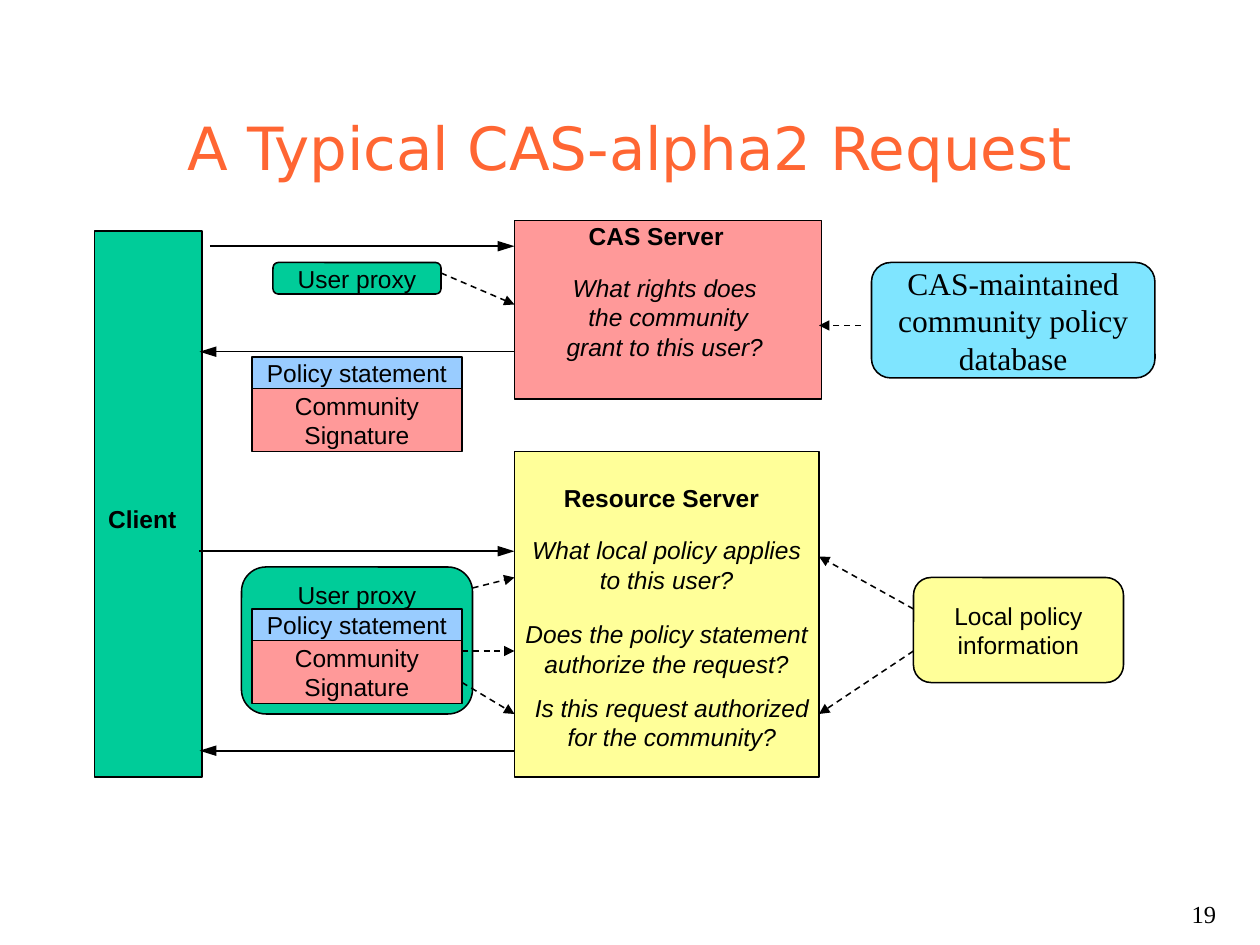
from typing import NamedTuple
from lxml.etree import SubElement
from pptx import Presentation
from pptx.dml.color import RGBColor
from pptx.enum.dml import MSO_LINE
from pptx.enum.shapes import MSO_CONNECTOR, MSO_SHAPE
from pptx.enum.text import MSO_ANCHOR, PP_ALIGN
from pptx.oxml.ns import qn
from pptx.util import Inches, Pt


class Theme:
    ORANGE, BLACK = "FF6633", "000000"
    GREEN, PINK, YELLOW = "00CC99", "FF9999", "FFFF99"
    BLUE, CYAN = "99CCFF", "00CCFF"
    SANS, SERIF, TITLE = "Arial", "Times New Roman", "DejaVu Sans"
    TITLE_SIZE, LARGE, BODY = 34, 18, 14
    LINE = 0.88


COLUMNS, ROWS = 120, 90
SLIDE_W, SLIDE_H = Inches(10), Inches(7.5)


def across(columns):
    return round(SLIDE_W * columns / COLUMNS)


def down(rows):
    return round(SLIDE_H * rows / ROWS)


class Box(NamedTuple):
    """An area in grid columns and rows."""
    x: float
    y: float
    w: float
    h: float

    def inner(self, x, y, w, h):
        return Box(self.x + x, self.y + y, w, h)

    def point(self, x, y):
        return self.x + x, self.y + y

    def emu(self):
        return across(self.x), down(self.y), across(self.w), down(self.h)


def rgb(code):
    return RGBColor.from_string(code)


def write(frame, lines, size=Theme.BODY, face=Theme.SANS, color=Theme.BLACK,
          align=PP_ALIGN.CENTER, bold=False, italic=False):
    for index, line in enumerate(lines):
        paragraph = frame.paragraphs[0] if index == 0 else frame.add_paragraph()
        paragraph.alignment = align
        run = paragraph.add_run()
        run.text = line
        font = run.font
        font.size, font.name, font.bold, font.italic = Pt(size), face, bold, italic
        font.color.rgb = rgb(color)


def add_label(slide, box, *lines, wrap=True, **style):
    frame = slide.shapes.add_textbox(*box.emu()).text_frame
    frame.word_wrap = wrap
    frame.margin_left = frame.margin_right = frame.margin_top = frame.margin_bottom = 0
    write(frame, lines, **style)


def add_block(shapes, box, fill, *lines, rounded=False, anchor=MSO_ANCHOR.MIDDLE,
              **style):
    kind = MSO_SHAPE.ROUNDED_RECTANGLE if rounded else MSO_SHAPE.RECTANGLE
    block = shapes.add_shape(kind, *box.emu())
    block.shadow.inherit = False
    block.fill.solid()
    block.fill.fore_color.rgb = rgb(fill)
    block.line.color.rgb = rgb(Theme.BLACK)
    block.line.width = Pt(Theme.LINE)
    block.text_frame.word_wrap = False
    block.text_frame.vertical_anchor = anchor
    write(block.text_frame, lines, **style)
    return block


def add_line(shapes, start, end):
    line = shapes.add_connector(MSO_CONNECTOR.STRAIGHT, across(start[0]), down(start[1]),
                                across(end[0]), down(end[1]))
    line.line.color.rgb = rgb(Theme.BLACK)
    line.line.width = Pt(Theme.LINE)
    SubElement(line._element.spPr, qn("a:effectLst"))
    return line


def add_message(slide, start, tip):
    """Solid horizontal arrow with a long, narrow head."""
    group = slide.shapes.add_group_shape().shapes
    (x, y), way = tip, 1 if tip[0] > start[0] else -1
    add_line(group, start, (x - 1.3 * way, y))
    back = across(x - 1.6 * way)
    builder = group.build_freeform(back, down(y + 0.5))
    builder.add_line_segments([(across(x), down(y)), (back, down(y - 0.5))], close=True)
    head = builder.convert_to_shape()
    head.shadow.inherit = False
    head.fill.solid()
    head.fill.fore_color.rgb = rgb(Theme.BLACK)
    head.line.fill.background()


def add_check(slide, start, end):
    """Dashed arrow from evidence to the question it answers."""
    connector = add_line(slide.shapes, start, end)
    connector.line.dash_style = MSO_LINE.DASH
    outline = connector._element.spPr.find(qn("a:ln"))
    SubElement(outline, qn("a:tailEnd"), type="triangle")


def add_title(slide, box):
    title = slide.shapes.title
    title.left, title.top, title.width, title.height = box.emu()
    title.text_frame.vertical_anchor = MSO_ANCHOR.BOTTOM
    write(title.text_frame, ["A Typical CAS-alpha2 Request"], Theme.TITLE_SIZE,
          Theme.TITLE, Theme.ORANGE)


def add_client(slide, box):
    add_block(slide.shapes, box, Theme.GREEN)
    add_label(slide, box.inner(1.3, 26, 6.5, 2.8), "Client", wrap=False, bold=True)


def add_cas_server(slide, box):
    add_block(slide.shapes, box, Theme.PINK)
    add_label(slide, box.inner(5, 0, 17, 2.8), "CAS Server", bold=True)
    add_label(slide, box.inner(3, 5, 23.3, 8.4), "What rights does ", "the community",
              "grant to this user? ", italic=True)


def add_resource_server(slide, box):
    add_block(slide.shapes, box, Theme.YELLOW)
    add_label(slide, box.inner(3, 3, 22, 2.8), "Resource Server", bold=True)
    questions = ((8, 27, "What local policy applies to this user?"),
                 (16, 27, "Does the policy statement authorize the request?"),
                 (23, 28, "Is this request authorized for the community?"))
    for row, width, question in questions:
        add_label(slide, box.inner(1, row, width, 5.6), question, italic=True)


def add_database(slide, box):
    database = add_block(slide.shapes, box, Theme.CYAN, "CAS-maintained",
                         "community policy", "database", rounded=True,
                         size=Theme.LARGE, face=Theme.SERIF)
    color = database._element.spPr.find(qn("a:solidFill")).find(qn("a:srgbClr"))
    SubElement(color, qn("a:alpha"), val="50000")
    add_check(slide, box.point(-1, 6), box.point(-5, 6))


def add_local_policy(slide, box):
    add_block(slide.shapes, box, Theme.YELLOW, "Local policy", "information", rounded=True)
    for start_row, end_row in ((3, -2), (7, 13)):
        add_check(slide, box.point(0, start_row), box.point(-9, end_row))


def add_user_proxy(slide, box):
    add_block(slide.shapes, box, Theme.GREEN, "User proxy", rounded=True)
    add_check(slide, box.point(box.w, 1), box.point(box.w + 7, 4))


def add_signed_policy(shapes, box):
    add_block(shapes, box.inner(0, 0, box.w, 3), Theme.BLUE, "Policy statement")
    add_block(shapes, box.inner(0, 3, box.w, box.h - 3), Theme.PINK,
              "Community", "Signature")


def add_proxy_with_policy(slide, box):
    add_check(slide, box.point(box.w, 2), box.point(box.w + 4, 1))
    add_block(slide.shapes, box, Theme.GREEN, "User proxy", rounded=True,
              anchor=MSO_ANCHOR.TOP)
    for start_row, end_row in ((11, 14), (8, 8)):
        add_check(slide, box.point(box.w - 1, start_row), box.point(box.w + 4, end_row))
    add_signed_policy(slide.shapes, box.inner(1, 4, box.w - 2, 9))


def add_page_number(slide, box):
    frame = slide.shapes.add_textbox(*box.emu()).text_frame
    frame.word_wrap = True
    write(frame, ["19"], face=Theme.SERIF, align=PP_ALIGN.RIGHT)


def main():
    deck = Presentation()
    deck.slide_width, deck.slide_height = SLIDE_W, SLIDE_H
    slide = deck.slides.add_slide(deck.slide_layouts[5])
    client = Box(9, 22, 10.25, 52)
    resource = Box(49, 43, 29, 31)

    add_title(slide, Box(9, 8, 102, 10))
    add_cas_server(slide, Box(49, 21, 29.25, 17))
    add_client(slide, client)
    add_resource_server(slide, resource)

    client_edge, server_edge = client.x + 10, resource.x
    for start, tip, row in ((client_edge + 1, server_edge, 23.45),
                            (server_edge, client_edge, 33.5),
                            (client_edge, server_edge, 52.5),
                            (server_edge, client_edge, 71.5)):
        add_message(slide, (start, row), (tip, row))

    add_database(slide, Box(83, 25, 27, 11))
    add_user_proxy(slide, Box(26, 25, 16, 3))
    add_local_policy(slide, Box(87, 55, 20, 10))
    add_signed_policy(slide.shapes.add_group_shape().shapes, Box(24, 34, 20, 9))
    add_proxy_with_policy(slide, Box(23, 54, 22, 14))
    add_page_number(slide, Box(92, 85, 25, 4))
    deck.save("out.pptx")


if __name__ == "__main__":
    main()
